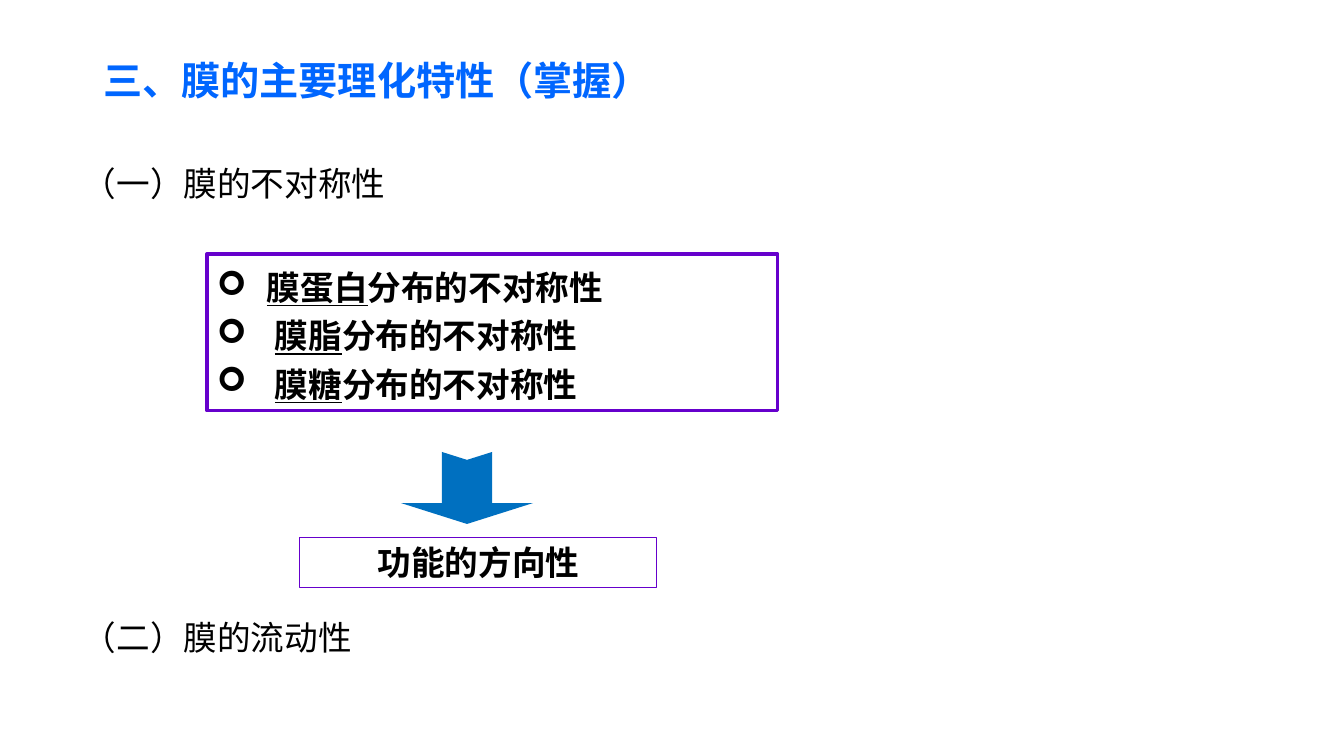
from lxml import etree
from pptx import Presentation
from pptx import util as u
from pptx.dml.color import RGBColor
from pptx.enum import shapes, text
from pptx.oxml.ns import qn

PX_PER_INCH = 100.8


def px(length):
    return u.Emu(round(length * 914400 / PX_PER_INCH))


def color(value):
    return RGBColor.from_string(value)


class SlideBuilder:
    FONT = "Noto Sans CJK SC"
    BLACK, PURPLE, ARROW_BLUE, TITLE_BLUE = "000000", "6600CC", "0070C0", "0066FF"

    def __init__(self, slide):
        self.slide = slide

    def place(self, shape, left, top, width, height):
        shape.left, shape.top = px(left), px(top)
        shape.width, shape.height = px(width), px(height)

    def format(self, paragraph, size, bold=False, fill=BLACK, align=text.PP_ALIGN.LEFT):
        paragraph.alignment = align
        font = paragraph.font
        font.name, font.size, font.bold = self.FONT, u.Pt(size), bold
        font.color.rgb = color(fill)
        properties = paragraph._p.pPr.find(qn("a:defRPr"))
        etree.SubElement(properties, qn("a:ea"), typeface=self.FONT)

    def title(self, content, *box):
        shape = self.slide.shapes.title
        self.place(shape, *box)
        frame = shape.text_frame
        frame.text = content
        frame.word_wrap = False
        frame.auto_size = text.MSO_AUTO_SIZE.NONE
        frame.vertical_anchor = text.MSO_ANCHOR.MIDDLE
        self.format(frame.paragraphs[0], 28, True, self.TITLE_BLUE)

    def heading(self, content, *box):
        frame = self.slide.shapes.add_textbox(*map(px, box)).text_frame
        frame.word_wrap = True
        paragraph = frame.paragraphs[0]
        paragraph.text = content
        paragraph.line_spacing = 1.2
        self.format(paragraph, 24)

    def frame(self, line_width, *box):
        shape = self.slide.shapes.add_shape(shapes.MSO_SHAPE.RECTANGLE, *map(px, box))
        shape.shadow.inherit = False
        shape.fill.background()
        shape.line.color.rgb = color(self.PURPLE)
        shape.line.width = u.Pt(line_width)
        shape.text_frame.word_wrap = True
        shape.text_frame.vertical_anchor = text.MSO_ANCHOR.TOP
        return shape.text_frame

    def bullet_box(self, items, *box):
        frame = self.frame(2.25, *box)
        for index, (key, rest, indent) in enumerate(items):
            paragraph = frame.add_paragraph() if index else frame.paragraphs[0]
            paragraph.line_spacing = 1.2
            properties = paragraph._p.get_or_add_pPr()
            properties.set("marL", str(px(indent)))
            properties.set("indent", str(-px(indent)))
            etree.SubElement(properties, qn("a:buFont"), typeface="Wingdings")
            etree.SubElement(properties, qn("a:buChar"), char="➢")
            self.format(paragraph, 24, True)
            key_run = paragraph.add_run()
            key_run.text = key
            key_run.font.underline = True
            paragraph.add_run().text = rest

    def label_box(self, content, *box):
        paragraph = self.frame(0.75, *box).paragraphs[0]
        paragraph.text = content
        self.format(paragraph, 24, True, align=text.PP_ALIGN.CENTER)

    def down_arrow(self, *box):
        shape = self.slide.shapes.add_shape(
            shapes.MSO_SHAPE.NOTCHED_RIGHT_ARROW, *map(px, box))
        shape.shadow.inherit = False
        shape.rotation = 90
        shape.adjustments[0], shape.adjustments[1] = 0.38, 0.29
        shape.fill.solid()
        shape.fill.fore_color.rgb = color(self.ARROW_BLUE)
        shape.line.fill.background()


def main():
    presentation = Presentation()
    presentation.slide_width, presentation.slide_height = px(1344), px(756)
    title_only = presentation.slide_layouts[5]
    builder = SlideBuilder(presentation.slides.add_slide(title_only))

    # Title and section headings
    builder.title("三、膜的主要理化特性（掌握）", 93, 51, 572, 57)
    builder.heading("（一）膜的不对称性", 73, 150, 526, 53)
    builder.heading("（二）膜的流动性", 73, 604, 526, 59)

    # Kinds of asymmetry, leading to their consequence
    distribution = "分布的不对称性"
    builder.bullet_box(
        [("膜蛋白", distribution, 50),
         ("膜脂", distribution, 58),
         ("膜糖", distribution, 58)],
        207, 254, 571, 157)
    builder.down_arrow(431, 422, 72, 132)
    builder.label_box("功能的方向性", 300, 537, 357, 51)

    presentation.save("out.pptx")


if __name__ == "__main__":
    main()
